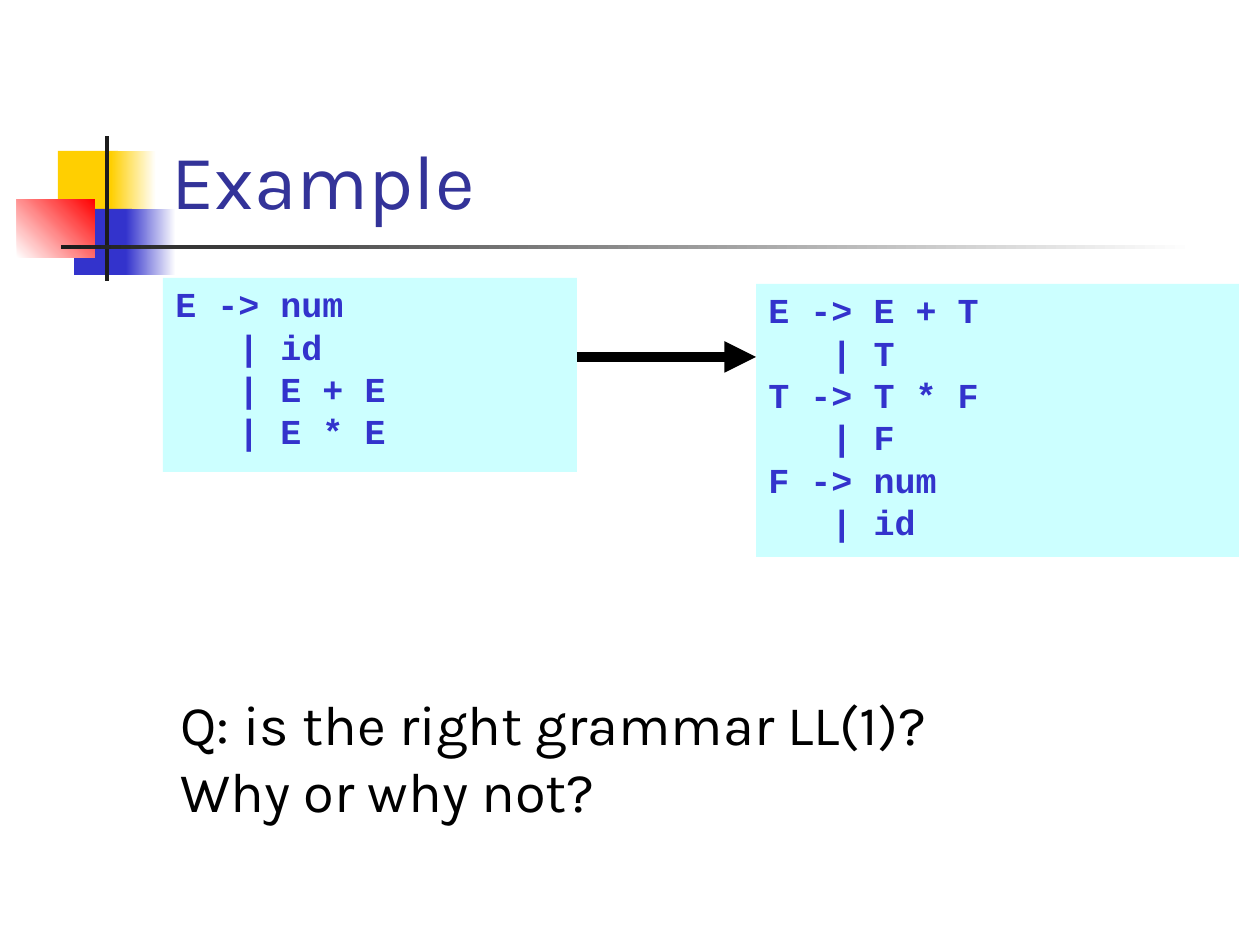
from lxml.etree import SubElement
from pptx import Presentation
from pptx.dml.color import RGBColor
from pptx.enum.shapes import MSO_CONNECTOR as Connector, MSO_SHAPE as Shape
from pptx.enum.text import MSO_ANCHOR as Anchor, MSO_AUTO_SIZE as AutoSize, PP_ALIGN as Align
from pptx.oxml.ns import qn
from pptx.util import Pt

EMU_PER_PX = 914400 / 126
COLORS = {
    "yellow": "FFCF01",
    "blue": "3333CC",
    "red": "FF0000",
    "dark": "1C1C1C",
    "white": "FFFFFF",
    "title": "333399",
    "panel": "CCFFFF",
    "black": "000000",
}
DECORATION = [
    ((58, 151, 60, 66), ["yellow"], 0),
    ((111, 151, 45, 66), ["yellow", "white"], 0),
    ((74, 209, 58, 66), ["blue"], 0),
    ((126, 209, 50, 66), ["blue", "white"], 0),
    ((17, 199, 78, 59), ["white", "red"], 45),
    ((105, 136, 4, 145), ["dark"], 0),
    ((61, 245, 1134, 4), ["dark", "white"], 0),
]
AMBIGUOUS_GRAMMAR = ["E -> num", "   | id", "   | E + E", "   | E * E"]
LAYERED_GRAMMAR = ["E -> E + T", "   | T", "T -> T * F", "   | F", "F -> num", "   | id"]


def px(*lengths):
    """Turn pixel lengths into a list of EMU."""
    return [round(length * EMU_PER_PX) for length in lengths]


def rgb(name):
    """Look up a named colour."""
    return RGBColor.from_string(COLORS[name])


def add_rectangle(page, bounds, colors, angle=0):
    """Add a borderless rectangle with a solid or two-colour gradient fill."""
    box = page.shapes.add_shape(Shape.RECTANGLE, *px(*bounds))
    box.shadow.inherit = False
    box.line.fill.background()
    if len(colors) == 1:
        box.fill.solid()
        box.fill.fore_color.rgb = rgb(colors[0])
    else:
        box.fill.gradient()
        box.fill.gradient_angle = angle
        for stop, name in zip(box.fill.gradient_stops, colors):
            stop.color.rgb = rgb(name)
    return box


def write_text(frame, lines, *, font, size, color, bold=False,
               anchor=Anchor.TOP, spacing=None, gap=0):
    """Fill a text frame with left-aligned paragraphs in one format."""
    frame.word_wrap = True
    frame.vertical_anchor = anchor
    for index, line in enumerate(lines):
        para = frame.add_paragraph() if index else frame.paragraphs[0]
        para.alignment = Align.LEFT
        para.line_spacing = spacing
        para.space_before = Pt(gap if index else 0)
        span = para.add_run()
        span.text = line
        span.font.name = font
        span.font.size = Pt(size)
        span.font.bold = bold
        span.font.color.rgb = rgb(color)


def add_title(page, text):
    """Place and format the title placeholder."""
    title = page.shapes.title
    title.left, title.top, title.width, title.height = px(159, 29, 1074, 202)
    write_text(title.text_frame, [text], font="Karla", size=44, color="title",
               anchor=Anchor.BOTTOM)
    title.text_frame.auto_size = AutoSize.NONE


def add_grammar(page, bounds, rules):
    """Add a tinted panel of grammar rules."""
    panel = add_rectangle(page, bounds, ["panel"])
    panel.text_frame.margin_top = px(13)[0]
    write_text(panel.text_frame, rules, font="Courier New", size=20, color="blue",
               bold=True, spacing=0.8, gap=5)


def add_question(page, bounds, text):
    """Add the question below the grammars."""
    box = page.shapes.add_textbox(*px(*bounds))
    write_text(box.text_frame, [text], font="Karla", size=32, color="black")
    box.text_frame.auto_size = AutoSize.SHAPE_TO_FIT_TEXT


def add_arrow(page, start, end):
    """Add a thick straight arrow."""
    arrow = page.shapes.add_connector(Connector.STRAIGHT, *px(*start, *end))
    arrow.line.color.rgb = rgb("black")
    arrow.line.width = Pt(6)
    SubElement(arrow.line._get_or_add_ln(), qn("a:tailEnd"), type="triangle")
    SubElement(arrow._element.spPr, qn("a:effectLst"))


def main():
    """Build the slide and save it."""
    deck = Presentation()
    deck.slide_width, deck.slide_height = px(1260, 945)
    page = deck.slides.add_slide(deck.slide_layouts[5])
    for bounds, colors, angle in DECORATION:
        add_rectangle(page, bounds, colors, angle)
    add_title(page, "Example")
    add_grammar(page, (163, 278, 414, 194), AMBIGUOUS_GRAMMAR)
    add_grammar(page, (756, 284, 483, 273), LAYERED_GRAMMAR)
    add_arrow(page, (577, 357), (756, 357))
    add_question(page, (168, 683, 850, 147),
                 "Q: is the right grammar LL(1)? Why or why not?")
    deck.save("out.pptx")


if __name__ == "__main__":
    main()
